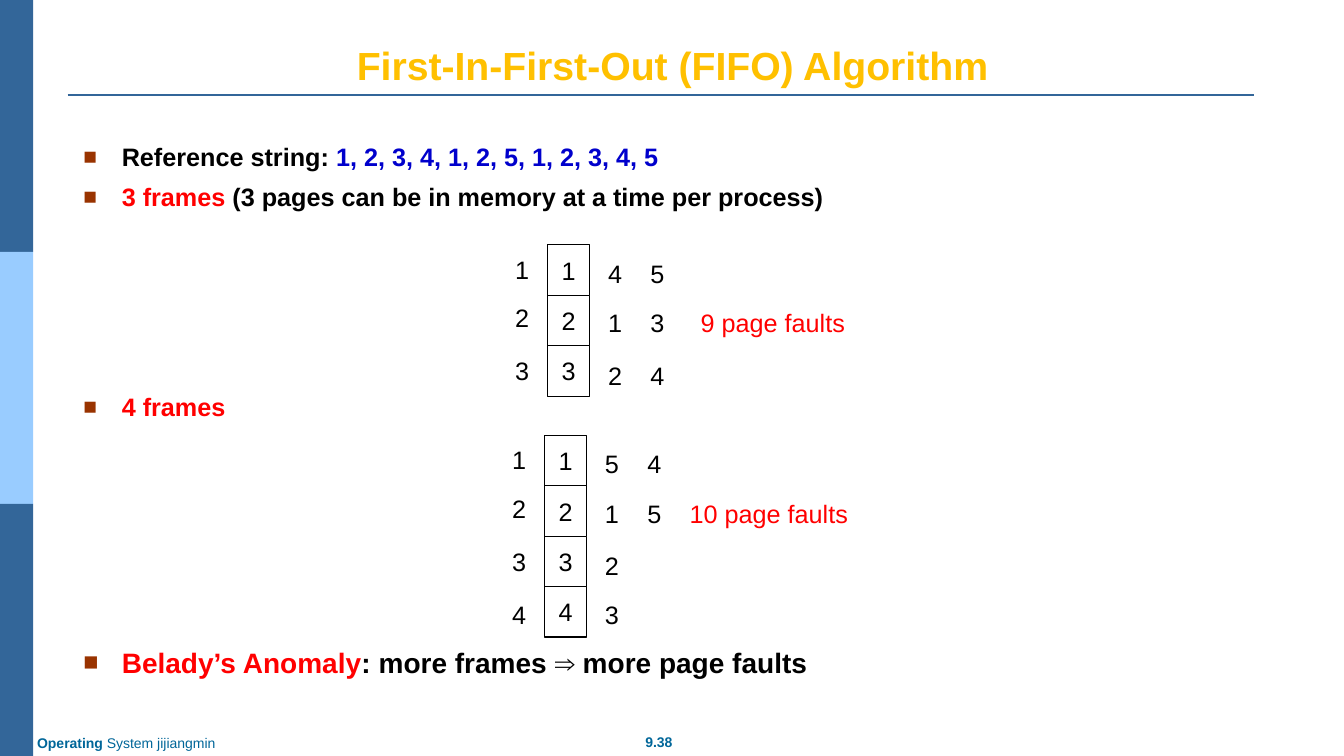
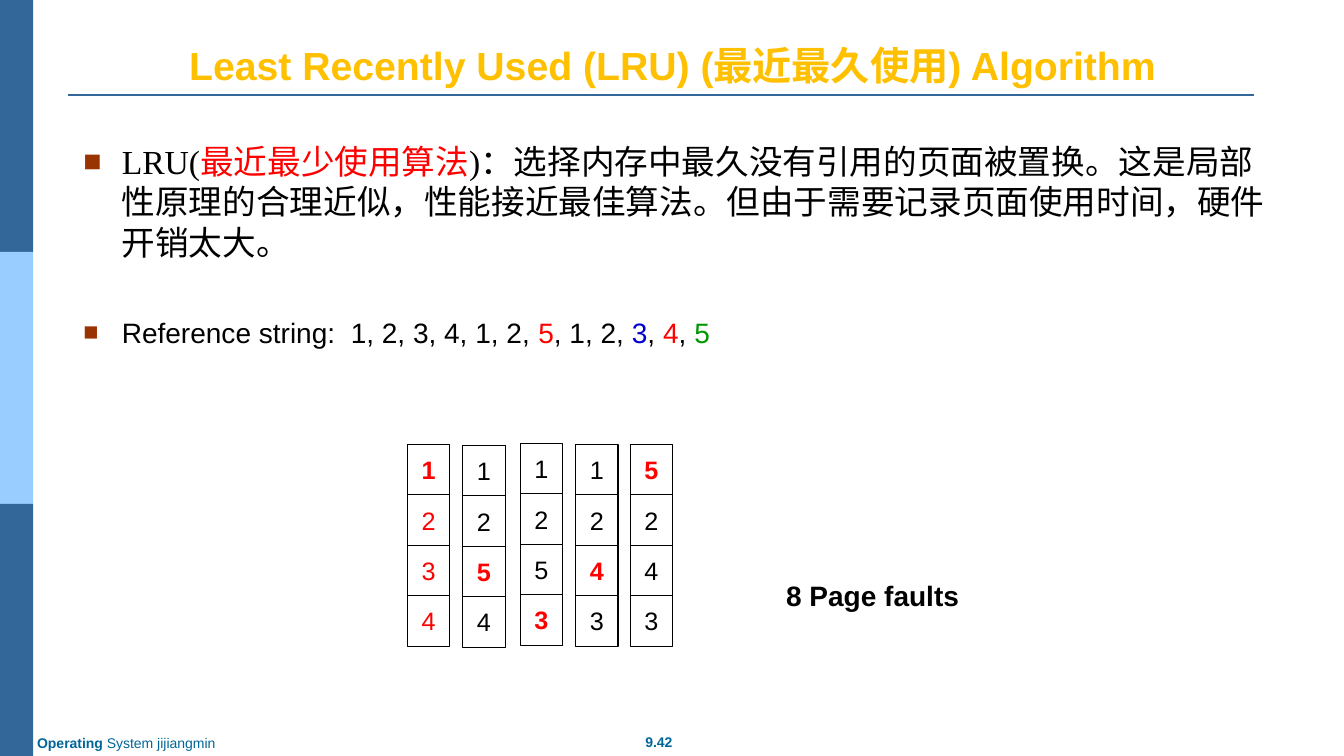
"""Build two slides on the FIFO and LRU page replacement algorithms."""
from lxml.etree import SubElement
from pptx import Presentation
from pptx.dml.color import RGBColor
from pptx.enum.shapes import MSO_CONNECTOR, MSO_SHAPE
from pptx.enum.text import MSO_ANCHOR, PP_ALIGN
from pptx.oxml.ns import qn
from pptx.util import Inches, Pt
from dataclasses import dataclass


@dataclass(frozen=True)
class Theme:
    face: str = "Arial"
    serif: str = "Times New Roman"
    navy: str = "336699"
    sky: str = "99CCFF"
    teal: str = "006699"
    gold: str = "FFC000"
    rust: str = "993300"
    black: str = "000000"
    white: str = "FFFFFF"
    red: str = "FF0000"
    blue: str = "0000CC"
    green: str = "009900"
    title: int = 28
    lead: int = 24
    large: int = 20
    body: int = 18
    foot: int = 10


T = Theme()
rgb = RGBColor.from_string


def write(para, runs, size, bold=False, face=T.face):
    """Add (text, colour) runs to a paragraph."""
    for text, color in runs:
        run = para.add_run()
        run.text = text
        run.font.size = Pt(size)
        run.font.bold = bold
        run.font.name = face
        run.font.color.rgb = rgb(color)


def label(slide, at, text, color=T.black, size=T.body, bold=False, framed=False):
    """Add a centred text, in a bordered cell if framed."""
    spot = [Inches(n) for n in at]
    if framed:
        shape = slide.shapes.add_shape(MSO_SHAPE.RECTANGLE, *spot)
        shape.shadow.inherit = False
        shape.fill.solid()
        shape.fill.fore_color.rgb = rgb(T.white)
        shape.line.color.rgb = rgb(T.black)
        shape.line.width = Pt(0.75)
    else:
        shape = slide.shapes.add_textbox(*spot)
    frame = shape.text_frame
    frame.word_wrap = False
    frame.vertical_anchor = MSO_ANCHOR.MIDDLE
    frame.paragraphs[0].alignment = PP_ALIGN.CENTER
    write(frame.paragraphs[0], [(text, color)], size, bold)
    return shape


pages = [
    ("First-In-First-Out (FIFO) Algorithm", "9.38", [
        (0, T.body, True, T.face, [
            ("Reference string: ", T.black),
            ("1, 2, 3, 4, 1, 2, 5, 1, 2, 3, 4, 5", T.blue)]),
        (7, T.body, True, T.face, [
            ("3 frames", T.red),
            (" (3 pages can be in memory at a time per process)", T.black)]),
        (128.5, T.body, True, T.face, [("4 frames", T.red)]),
        (160, T.large, True, T.face, [
            ("Belady’s Anomaly", T.red),
            (": more frames ⇒ more page faults", T.black)]),
    ]),
    ("Least Recently Used (LRU) (最近最久使用) Algorithm", "9.42", [
        (0, T.lead, False, T.serif, [
            ("LRU(", T.black), ("最近最少使用算法", T.red),
            (")：选择内存中最久没有引用的页面被置换。这是局部性原理的合理近似，"
             "性能接近最佳算法。但由于需要记录页面使用时间，硬件开销太大。", T.black)]),
        (38, T.large, False, T.face, [
            ("Reference string:  1, 2, 3, 4, 1, 2, ", T.black), ("5", T.red),
            (", 1, 2, ", T.black), ("3", T.blue), (", ", T.black),
            ("4", T.red), (", ", T.black), ("5", T.green)]),
    ]),
]

deck = Presentation()
deck.slide_width, deck.slide_height = Inches(13.33), Inches(7.5)
slides = []
for title, number, points in pages:
    slide = deck.slides.add_slide(deck.slide_layouts[6])
    slides.append(slide)
    for row, color in enumerate((T.navy, T.sky, T.navy)):
        band = slide.shapes.add_shape(
            MSO_SHAPE.RECTANGLE, 0, Inches(2.5 * row), Inches(0.33), Inches(2.5))
        band.shadow.inherit = False
        band.fill.solid()
        band.fill.fore_color.rgb = rgb(color)
        band.line.fill.background()
    rule = slide.shapes.add_connector(
        MSO_CONNECTOR.STRAIGHT, Inches(0.67), Inches(0.94), Inches(12.44), Inches(0.94))
    rule.line.color.rgb = rgb(T.navy)
    rule.line.width = Pt(1.5)
    SubElement(rule._element.spPr, qn("a:effectLst"))
    label(slide, (6.29, 7.23, 0.49, 0.27), number, T.teal, T.foot, True)
    foot = label(slide, (0.27, 7.24, 2.03, 0.27), "Operating ", T.teal, T.foot, True)
    line = foot.text_frame.paragraphs[0]
    line.alignment = PP_ALIGN.LEFT
    write(line, [("System jijiangmin", T.teal)], T.foot)
    head = label(slide, (0.67, 0.3, 12, 0.63), title, T.gold, T.title, True)
    head.text_frame.word_wrap = True
    head.text_frame.vertical_anchor = MSO_ANCHOR.BOTTOM

    body = slide.shapes.add_textbox(Inches(0.73), Inches(1.35), Inches(12), Inches(4.95))
    frame = body.text_frame
    frame.word_wrap = True
    for order, (gap, size, bold, face, runs) in enumerate(points):
        para = frame.add_paragraph() if order else frame.paragraphs[0]
        props = para._p.get_or_add_pPr()
        props.set("marL", str(Inches(0.38)))
        props.set("indent", str(-Inches(0.38)))
        tint = SubElement(props, qn("a:buClr"))
        SubElement(tint, qn("a:srgbClr"), val=T.rust)
        SubElement(props, qn("a:buSzPct"), val="90000")
        SubElement(props, qn("a:buFont"), typeface=T.face)
        SubElement(props, qn("a:buChar"), char="■")
        if gap:
            para.space_before = Pt(gap)
        write(para, runs, size, bold, face)

fifo, lru = slides
wide, tall = 0.42, 0.5
early = (0.04, 0.52, 1.05, 1.58)
late = (0.08, 0.57, 1.09, 1.58)
trays = [
    (5.43, 2.43, "123", ("412", "534"), "9 page faults", 6.85, 1.63),
    (5.4, 4.32, "1234", ("5123", "45"), "10 page faults", 6.74, 1.77),
]
for left, top, frames, swaps, faults, start, width in trays:
    for row, page in enumerate(frames):
        label(fifo, (left, top + row * tall, wide, tall), page, framed=True)
    for shift, drops, column in zip((-0.42, 0.5, 0.92), (early, late, late),
                                    (frames, *swaps)):
        for drop, page in zip(drops, column):
            label(fifo, (left + shift, top + drop, 0.34, 0.4), page)
    label(fifo, (start, top + late[1], width, 0.4), faults, T.red)

stacks = [
    (4.04, 4.41, "1234", 0),
    (4.59, 4.42, "1254", 2),
    (5.16, 4.4, "1253", 3),
    (5.71, 4.41, "1243", 2),
    (6.25, 4.41, "5243", 0),
]
for order, (left, top, column, fresh) in enumerate(stacks):
    for row, page in enumerate(column):
        color = T.red if order == 0 or row == fresh else T.black
        label(lru, (left, top + row * tall, wide, tall), page, color,
              bold=row == fresh, framed=True)
label(lru, (7.04, 5.69, 3.23, 0.43), "8 Page faults", size=T.large, bold=True)

deck.save("out.pptx")
